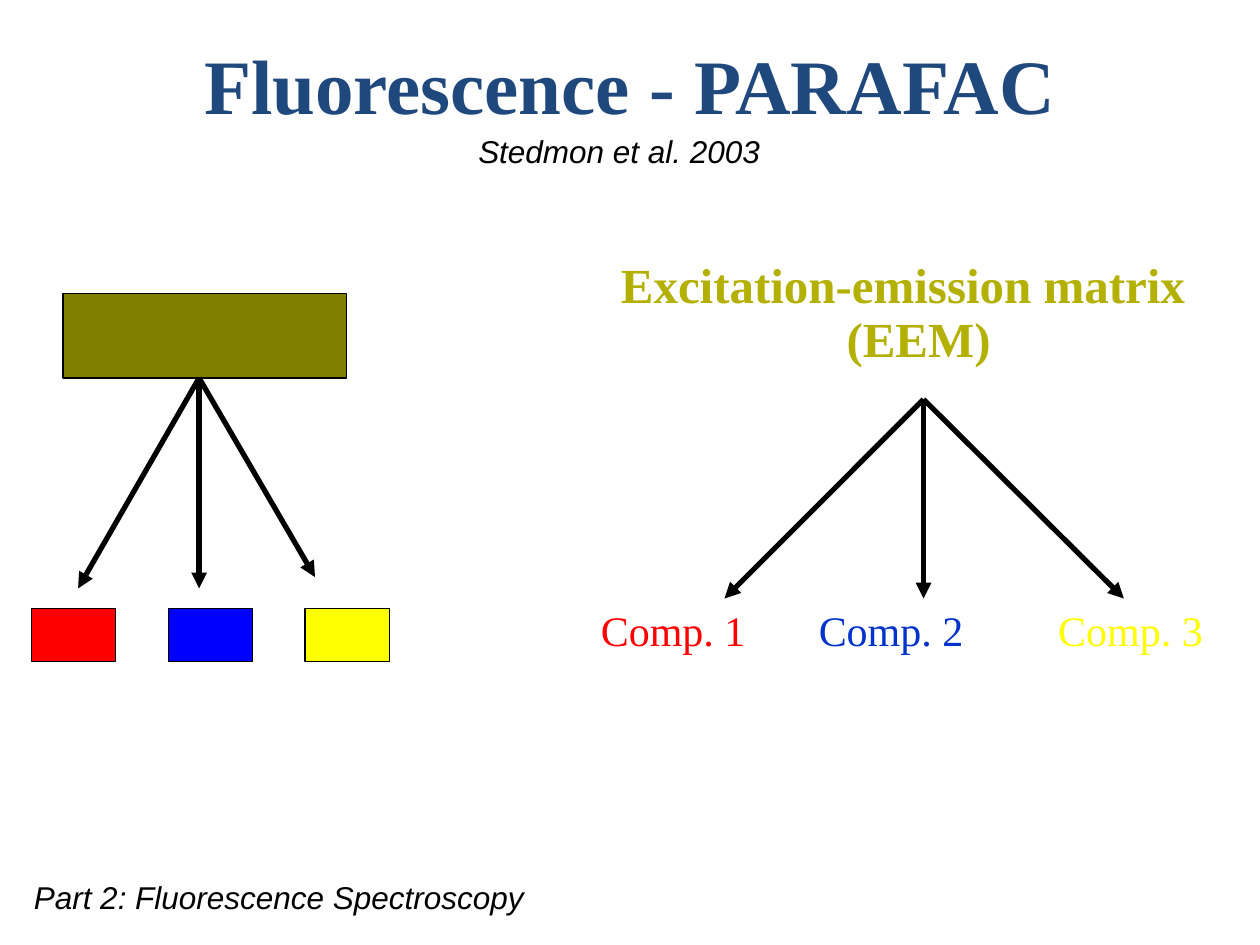
from typing import NamedTuple

from lxml import etree
from pptx import Presentation
from pptx.dml.color import RGBColor
from pptx.enum import shapes, text
from pptx.oxml import ns
from pptx.util import Inches, Pt

LEFT, CENTER = text.PP_ALIGN.LEFT, text.PP_ALIGN.CENTER
SERIF, SANS = "Times New Roman", "Arial"


class Block(NamedTuple):
    left: float
    top: float
    width: float
    height: float
    fill: str


class Fan(NamedTuple):
    """Arrows that spread from one starting point."""
    start: tuple[float, float]
    ends: list[tuple[float, float]]


class Label(NamedTuple):
    left: float
    top: float
    width: float
    height: float
    lines: list[str]
    aligns: list[text.PP_ALIGN]
    size: int
    font: str
    color: str = "000000"
    bold: bool = False
    italic: bool = False
    spacing: float = 1.0


def rgb(hex_color: str) -> RGBColor:
    return RGBColor.from_string(hex_color)


def add_block(s, b: Block) -> None:
    sp = s.shapes.add_shape(shapes.MSO_SHAPE.RECTANGLE, Inches(b.left), Inches(b.top),
                            Inches(b.width), Inches(b.height))
    sp.shadow.inherit = False
    sp.fill.solid()
    sp.fill.fore_color.rgb = rgb(b.fill)
    sp.line.color.rgb = rgb("000000")
    sp.line.width = Pt(0.75)


def add_fan(s, fan: Fan) -> None:
    for end in fan.ends:
        c = s.shapes.add_connector(shapes.MSO_CONNECTOR.STRAIGHT,
                                   *(Inches(v) for v in (*fan.start, *end)))
        c.line.color.rgb = rgb("000000")
        c.line.width = Pt(3)
        etree.SubElement(c.line._get_or_add_ln(), ns.qn("a:tailEnd"), type="triangle")
        etree.SubElement(c._element.spPr, ns.qn("a:effectLst"))


def add_label(s, label: Label):
    sp = s.shapes.add_textbox(Inches(label.left), Inches(label.top),
                              Inches(label.width), Inches(label.height))
    tf = sp.text_frame
    tf.word_wrap = True
    tf.text = "\n".join(label.lines)
    for i, (p, align) in enumerate(zip(tf.paragraphs, label.aligns)):
        p.alignment = align
        p.line_spacing = label.spacing
        if i:
            p.space_before = Pt(label.size / 2)
        for r in p.runs:
            format_run(r, label.size, label.font, label.color, label.bold, label.italic)
    return sp


def format_run(r, size: int, font: str, color: str, bold=False, italic=False) -> None:
    r.font.size = Pt(size)
    r.font.name = font
    r.font.color.rgb = rgb(color)
    r.font.bold = bold
    r.font.italic = italic


def add_components(s, names: list[tuple[str, str]], stops: list[float]) -> None:
    """One line of coloured names, set apart by tab stops."""
    tf = s.shapes.add_textbox(Inches(4.67), Inches(4.75), Inches(5.33), Inches(0.5)).text_frame
    tf.word_wrap = True
    p = tf.paragraphs[0]
    tabs = etree.SubElement(p._p.get_or_add_pPr(), ns.qn("a:tabLst"))
    for stop in stops:
        etree.SubElement(tabs, ns.qn("a:tab"), pos=str(Inches(stop)), algn="l")
    for i, (name, color) in enumerate(names):
        r = p.add_run()
        r.text = "\t" + name if i else name
        format_run(r, 24, SERIF, color)


def main() -> None:
    prs = Presentation()
    prs.slide_width, prs.slide_height = Inches(10), Inches(7.5)
    s = prs.slides.add_slide(prs.slide_layouts[6])

    # Mixed signal and the three parts it splits into
    add_block(s, Block(0.5, 2.33, 2.25, 0.67, "808000"))
    for i, fill in enumerate(["FF0000", "0000FF", "FFFF00"]):
        add_block(s, Block(0.25 + i * 1.085, 4.83, 0.67, 0.42, fill))
    add_fan(s, Fan((1.58, 3), [(0.62, 4.67), (1.58, 4.67), (2.5, 4.58)]))

    # Matrix and its components
    add_label(s, Label(4.83, 2.17, 4.92, 0.8, ["Excitation-emission matrix", "(EEM)"],
                       [LEFT, CENTER], 28, SERIF, "B4B000", bold=True, spacing=0.5))
    add_components(s, [("Comp. 1", "FF0000"), ("Comp. 2", "0033CC"), ("Comp. 3", "FFFF00")],
                   [1.73, 3.63])
    add_fan(s, Fan((7.33, 3.17), [(x, 4.75) for x in (5.75, 7.33, 8.92)]))

    # Title, footer and citation
    add_label(s, Label(0, 0.25, 10, 0.83, ["Fluorescence - PARAFAC"], [CENTER],
                       44, SERIF, "1F497D", bold=True))
    add_label(s, Label(0.17, 6.92, 4.67, 0.4, ["Part 2: Fluorescence Spectroscopy"], [LEFT],
                       18, SANS, italic=True))
    add_label(s, Label(3.08, 1, 3.67, 0.4, ["Stedmon et al. 2003"], [CENTER],
                       18, SANS, italic=True))

    prs.save("out.pptx")


if __name__ == "__main__":
    main()
